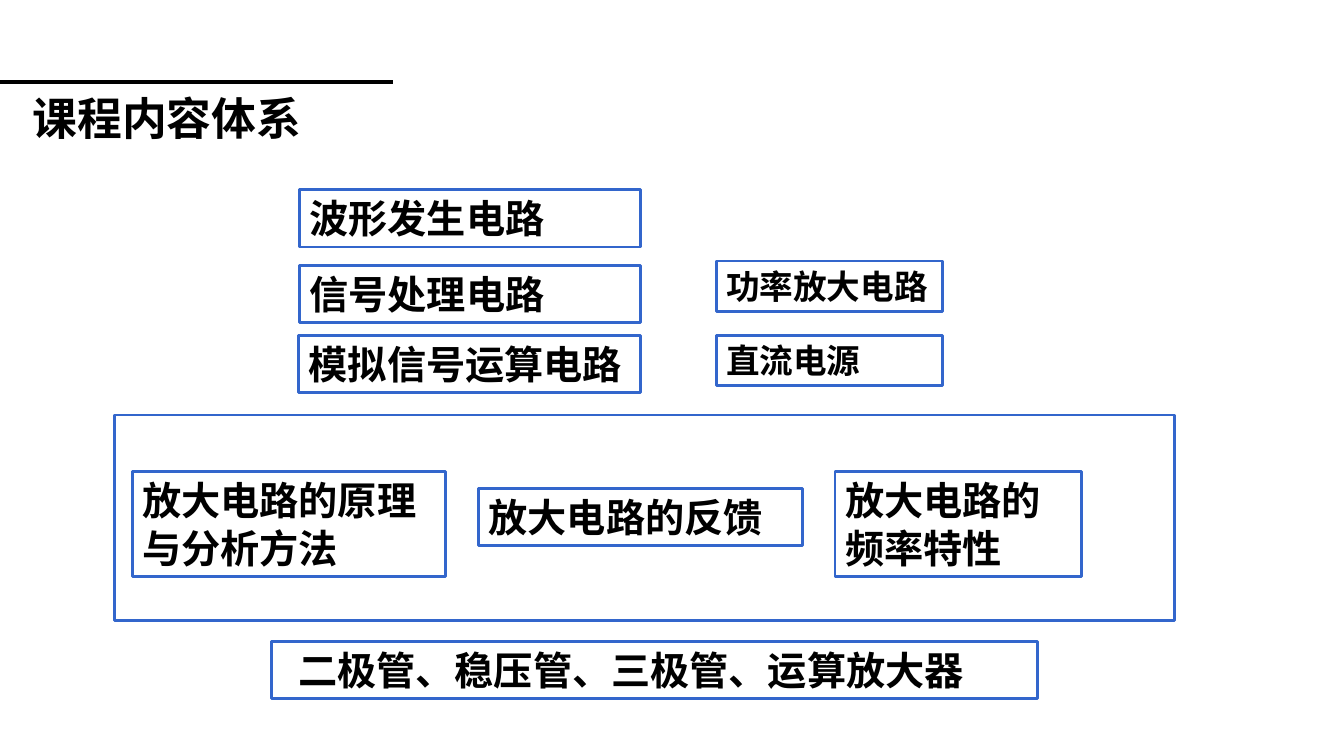
from lxml import etree
from pptx import Presentation
from pptx.dml.color import RGBColor
from pptx.enum import shapes, text
from pptx.oxml import ns
from pptx.util import Pt

COLORS = {"ink": "000000", "border": "3366CC", "paper": "FFFFFF"}


def add_box(left, top, width, height, filled=False):
    shape = slide.shapes.add_shape(
        shapes.MSO_SHAPE.RECTANGLE, Pt(left), Pt(top), Pt(width), Pt(height))
    shape.shadow.inherit = False
    if filled:
        shape.fill.solid()
        shape.fill.fore_color.rgb = RGBColor.from_string(COLORS["paper"])
    else:
        shape.fill.background()
    shape.line.color.rgb = RGBColor.from_string(COLORS["border"])
    shape.line.width = Pt(2)
    return shape


def write_text(shape, words, size, font_name):
    shape.text_frame.text = words
    paragraph = shape.text_frame.paragraphs[0]
    paragraph.alignment = text.PP_ALIGN.LEFT
    font = paragraph.runs[0].font
    font.name = font_name
    font.size = Pt(size)
    font.bold = True
    font.color.rgb = RGBColor.from_string(COLORS["ink"])


presentation = Presentation()
presentation.slide_width = Pt(960)
presentation.slide_height = Pt(540)
slide = presentation.slides.add_slide(presentation.slide_layouts[5])

title_rule = slide.shapes.add_connector(
    shapes.MSO_CONNECTOR.STRAIGHT, Pt(0), Pt(58.5), Pt(281), Pt(58.5))
title_rule.line.color.rgb = RGBColor.from_string(COLORS["ink"])
title_rule.line.width = Pt(3)
etree.SubElement(title_rule._element.spPr, ns.qn("a:effectLst"))

title = slide.shapes.title
title.left, title.top, title.width, title.height = Pt(16), Pt(61), Pt(248), Pt(51)
write_text(title, "课程内容体系", 32, "Calibri")
title.text_frame.vertical_anchor = text.MSO_ANCHOR.MIDDLE
title.text_frame.paragraphs[0].line_spacing = 0.9

amplifier_frame = add_box(82, 296.5, 757, 146.5, filled=True)

topics = [
    ("波形发生电路", 28, 214, 135.5, 243.5, 41),
    ("信号处理电路", 28, 214, 189.5, 243.5, 41),
    ("模拟信号运算电路", 28, 213.5, 239.5, 244, 41),
    ("功率放大电路", 24, 511.5, 186.5, 162, 36),
    ("直流电源", 24, 511.5, 239.5, 162, 36),
    ("放大电路的原理与分析方法", 28, 94.5, 337, 224, 75),
    ("放大电路的反馈", 28, 342, 349, 231, 41),
    ("放大电路的频率特性", 28, 596.5, 337, 176, 75),
    ("二极管、稳压管、三极管、运算放大器", 28, 194, 458, 547, 41),
]
for words, size, left, top, width, height in topics:
    topic_box = add_box(left, top, width, height)
    write_text(topic_box, words, size, "Times New Roman")
    topic_box.text_frame.word_wrap = True
    topic_box.text_frame.auto_size = text.MSO_AUTO_SIZE.SHAPE_TO_FIT_TEXT
    topic_box.text_frame.vertical_anchor = text.MSO_ANCHOR.TOP

components_box = topic_box
components_box.text_frame.margin_left = Pt(19)
components_box.fill.solid()
components_box.fill.fore_color.rgb = RGBColor.from_string(COLORS["paper"])

presentation.save("out.pptx")
